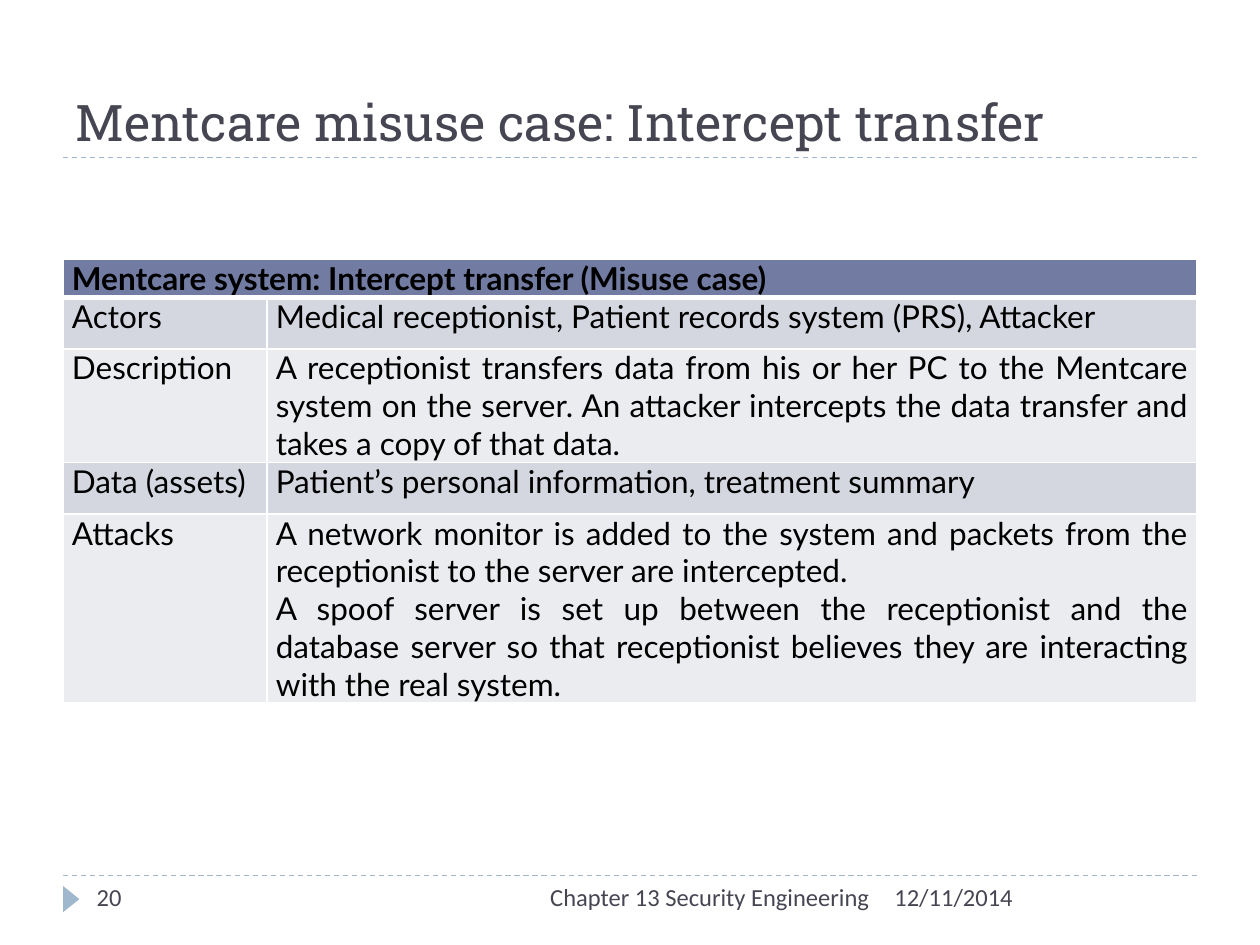
from lxml import etree
from pptx import Presentation
from pptx.dml.color import RGBColor
from pptx.enum.dml import MSO_LINE
from pptx.enum.shapes import MSO_CONNECTOR, MSO_SHAPE
from pptx.enum.text import MSO_ANCHOR, MSO_AUTO_SIZE, PP_ALIGN
from pptx.oxml.ns import qn
from pptx.util import Cm, Pt

LEFT, RIGHT, JUSTIFY = PP_ALIGN.LEFT, PP_ALIGN.RIGHT, PP_ALIGN.JUSTIFY
TOP, BOTTOM = MSO_ANCHOR.TOP, MSO_ANCHOR.BOTTOM

TITLE = "Mentcare misuse case: Intercept transfer"
HEADING = "Mentcare system: Intercept transfer (Misuse case)"
MISUSE_CASE = [
    ("Actors", ["Medical receptionist, Patient records system (PRS), Attacker"]),
    ("Description", [
        "A receptionist transfers data from his or her PC to the Mentcare system "
        "on the server. An attacker intercepts the data transfer and takes a copy "
        "of that data."]),
    ("Data (assets)", ["Patient’s personal information, treatment summary"]),
    ("Attacks", [
        "A network monitor is added to the system and packets from the "
        "receptionist to the server are intercepted.",
        "A spoof server is set up between the receptionist and the database "
        "server so that receptionist believes they are interacting with the "
        "real system."]),
]
FOOTER = [  # text, left, width, alignment
    ("12/11/2014", 17.78, 6.35, LEFT),
    ("Chapter 13 Security Engineering", 8.05, 9.73, RIGHT),
    ("20", 1.7, 5.51, LEFT),
]

MARGIN, CONTENT_WIDTH = 1.27, 22.86
TITLE_RULE, FOOTER_RULE = 3.18, 17.65
TABLE_TOP = 5.23
COLUMN_WIDTHS = [4.11, 18.75]
ROW_HEIGHTS = [0.74, 1.04, 2.28, 1.04, 3.8]
BAND_FILLS = ["D5D7E0", "EBECF0"]

INK, ACCENT = "464653", "9FB8CD"
TITLE_FONT = {"name": "Roboto Slab", "size": Pt(28.8), "bold": False}
TABLE_FONT = {"name": "Lato", "size": Pt(18), "bold": False}
HEADING_FONT = {**TABLE_FONT, "bold": True}
FOOTER_FONT = {"name": "Calibri", "size": Pt(14), "bold": False}
CELL_MARGINS = {"margin_left": Cm(0.18), "margin_right": Cm(0.18),
                "margin_top": 0, "margin_bottom": 0}


def rgb(value):
    return RGBColor.from_string(value)


def set_all(target, values):
    for name, value in values.items():
        setattr(target, name, value)


def write(frame, paragraphs, font, color, align):
    for i, text in enumerate(paragraphs):
        paragraph = frame.paragraphs[0] if i == 0 else frame.add_paragraph()
        paragraph.alignment = align
        run = paragraph.add_run()
        run.text = text
        set_all(run.font, font)
        run.font.color.rgb = rgb(color)


def add_rule(slide, y):
    """Draw a dashed line across the content width."""
    rule = slide.shapes.add_connector(
        MSO_CONNECTOR.STRAIGHT, Cm(MARGIN), Cm(y),
        Cm(MARGIN + CONTENT_WIDTH), Cm(y))
    rule.line.color.rgb = rgb(ACCENT)
    rule.line.width = Pt(0.75)
    rule.line.dash_style = MSO_LINE.DASH
    etree.SubElement(rule.line._get_or_add_ln().getparent(), qn("a:effectLst"))


def add_borders(cell, bottom_width=1):
    properties = cell._tc.get_or_add_tcPr()
    widths = {"a:lnL": 1, "a:lnR": 1, "a:lnT": 1, "a:lnB": bottom_width}
    for tag, width in widths.items():
        border = etree.SubElement(properties, qn(tag), w=str(Pt(width)))
        fill = etree.SubElement(border, qn("a:solidFill"))
        etree.SubElement(fill, qn("a:srgbClr"), val="FFFFFF")


def format_cell(cell, paragraphs, font, fill, bottom_width=1):
    set_all(cell, CELL_MARGINS)
    add_borders(cell, bottom_width)
    cell.fill.solid()
    cell.fill.fore_color.rgb = rgb(fill)
    write(cell.text_frame, paragraphs, font, "000000", JUSTIFY)


def add_misuse_table(slide):
    table = slide.shapes.add_table(
        len(ROW_HEIGHTS), len(COLUMN_WIDTHS), Cm(MARGIN), Cm(TABLE_TOP),
        Cm(CONTENT_WIDTH), Cm(sum(ROW_HEIGHTS))).table
    for column, width in zip(table.columns, COLUMN_WIDTHS):
        column.width = Cm(width)
    for row, height in zip(table.rows, ROW_HEIGHTS):
        row.height = Cm(height)
    heading = table.cell(0, 0)
    heading.merge(table.cell(0, 1))
    format_cell(heading, [HEADING], HEADING_FONT, "727CA3", bottom_width=3)
    for i, (label, details) in enumerate(MISUSE_CASE):
        for column, paragraphs in enumerate([[label], details]):
            format_cell(table.cell(i + 1, column), paragraphs, TABLE_FONT,
                        BAND_FILLS[i % 2])


def add_footer(slide):
    marker = slide.shapes.add_shape(
        MSO_SHAPE.ISOSCELES_TRIANGLE, Cm(1.17), Cm(17.96), Cm(0.53), Cm(0.33))
    marker.rotation = 90
    marker.shadow.inherit = False
    marker.fill.solid()
    marker.fill.fore_color.rgb = rgb(ACCENT)
    marker.line.fill.background()
    for text, left, width, align in FOOTER:
        frame = slide.shapes.add_textbox(
            Cm(left), Cm(FOOTER_RULE), Cm(width), Cm(1.02)).text_frame
        set_all(frame, {"word_wrap": True, "vertical_anchor": TOP})
        write(frame, [text], FOOTER_FONT, INK, align)


def main():
    presentation = Presentation()
    set_all(presentation, {"slide_width": Cm(25.4), "slide_height": Cm(19.05)})
    slide = presentation.slides.add_slide(presentation.slide_layouts[5])

    title = slide.shapes.title
    set_all(title, {"left": Cm(MARGIN), "top": Cm(0.43),
                    "width": Cm(CONTENT_WIDTH), "height": Cm(2.75)})
    set_all(title.text_frame, {"word_wrap": True, "vertical_anchor": BOTTOM,
                               "auto_size": MSO_AUTO_SIZE.NONE})
    write(title.text_frame, [TITLE], TITLE_FONT, INK, LEFT)

    for y in (FOOTER_RULE, TITLE_RULE):
        add_rule(slide, y)
    add_misuse_table(slide)
    add_footer(slide)
    presentation.save("out.pptx")


if __name__ == "__main__":
    main()
